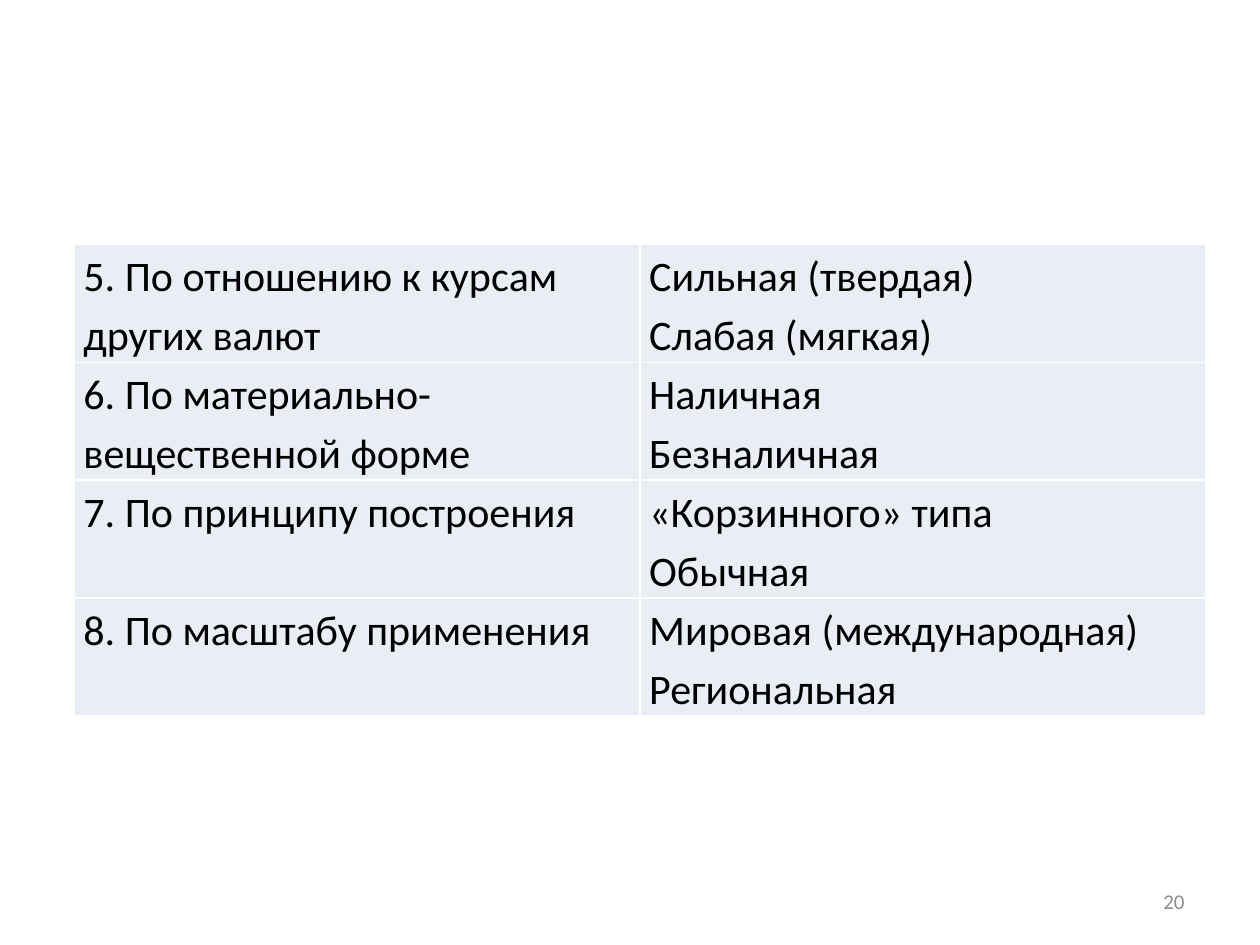
from lxml import etree
from pptx import Presentation
from pptx.dml.color import RGBColor
from pptx.enum import text
from pptx.oxml import ns
from pptx.util import Pt


def color(value):
    return RGBColor.from_string(value)


class SlideBuilder:
    font = "Calibri"
    ink = "000000"
    muted = "8C8C8C"
    cell_fill = "E9EDF4"
    border = "FFFFFF"

    def __init__(self, page):
        self.page = page

    def style(self, para, size, ink):
        for span in para.runs:
            span.font.name = self.font
            span.font.size = Pt(size)
            span.font.color.rgb = color(ink)

    def borders(self, cell):
        properties = cell._tc.get_or_add_tcPr()
        for side in ("lnL", "lnR", "lnT", "lnB"):
            line = etree.SubElement(properties, ns.qn(f"a:{side}"), w=str(Pt(1)))
            fill = etree.SubElement(line, ns.qn("a:solidFill"))
            etree.SubElement(fill, ns.qn("a:srgbClr"), val=self.border)

    def cell(self, cell, content):
        self.borders(cell)
        cell.fill.solid()
        cell.fill.fore_color.rgb = color(self.cell_fill)
        cell.margin_left = cell.margin_right = Pt(5.2)
        cell.margin_top = cell.margin_bottom = 0
        cell.text_frame.text = content
        for para in cell.text_frame.paragraphs:
            para.line_spacing = 1.15
            self.style(para, 24, self.ink)

    def table(self, rows, left, top, width, row_height):
        frame = self.page.shapes.add_table(
            len(rows), len(rows[0]), Pt(left), Pt(top),
            Pt(width), Pt(row_height * len(rows)))
        grid = frame.table
        grid.first_row = grid.horz_banding = False
        for row, contents in zip(grid.rows, rows):
            for cell, content in zip(row.cells, contents):
                self.cell(cell, content)

    def page_number(self, number, left, top, width, height):
        box = self.page.shapes.add_textbox(Pt(left), Pt(top), Pt(width), Pt(height))
        frame = box.text_frame
        frame.word_wrap = True
        frame.vertical_anchor = text.MSO_ANCHOR.MIDDLE
        frame.text = number
        para = frame.paragraphs[0]
        para.alignment = text.PP_ALIGN.RIGHT
        self.style(para, 12, self.muted)


def main():
    deck = Presentation()
    deck.slide_width, deck.slide_height = Pt(720), Pt(540)
    builder = SlideBuilder(deck.slides.add_slide(deck.slide_layouts[6]))

    # Currency classification: criterion and kinds
    rows = [
        ("5. По отношению к курсам других валют", "Сильная (твердая)\nСлабая (мягкая)"),
        ("6. По материально-вещественной форме", "Наличная\nБезналичная"),
        ("7. По принципу построения", "«Корзинного» типа\nОбычная"),
        ("8. По масштабу применения", "Мировая (международная)\nРегиональная"),
    ]
    builder.table(rows, 42.5, 139.7, 646.6, 66.25)

    # Slide number
    builder.page_number("20", 516, 500.5, 168, 28.75)

    deck.save("out.pptx")


if __name__ == "__main__":
    main()
